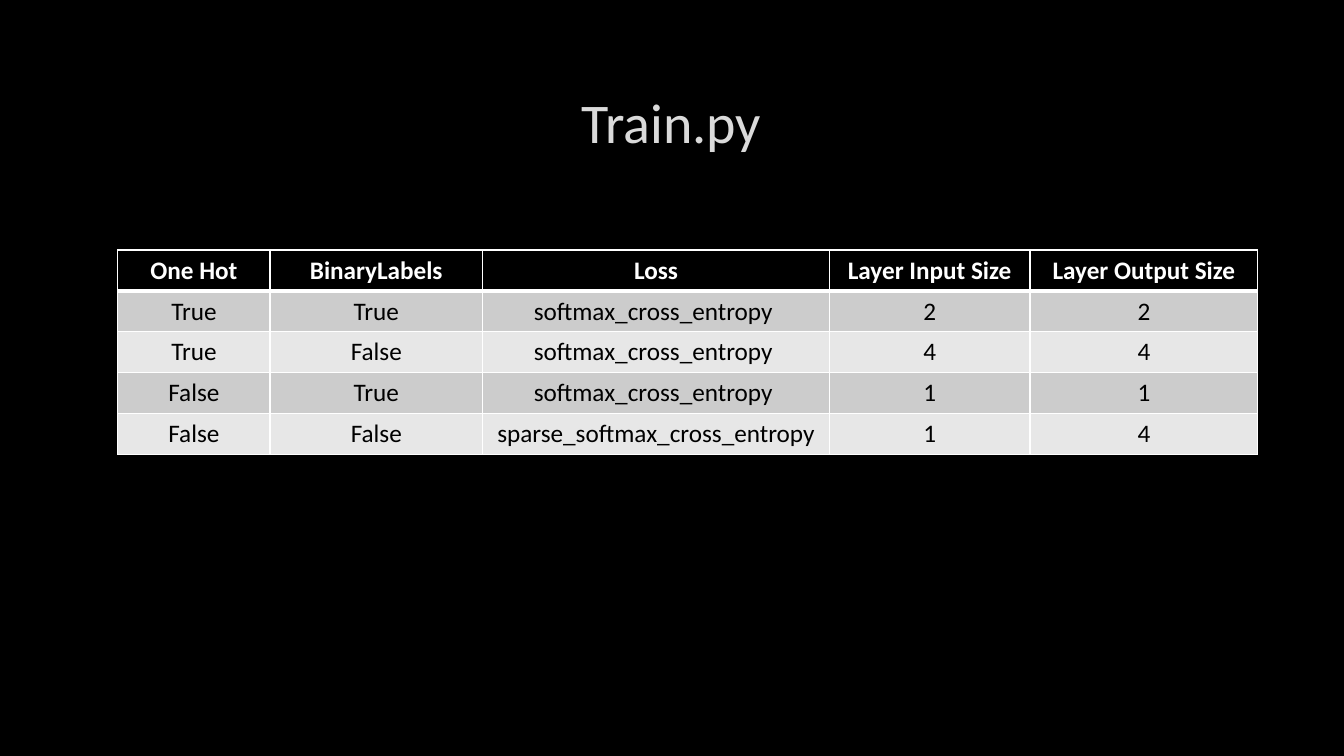
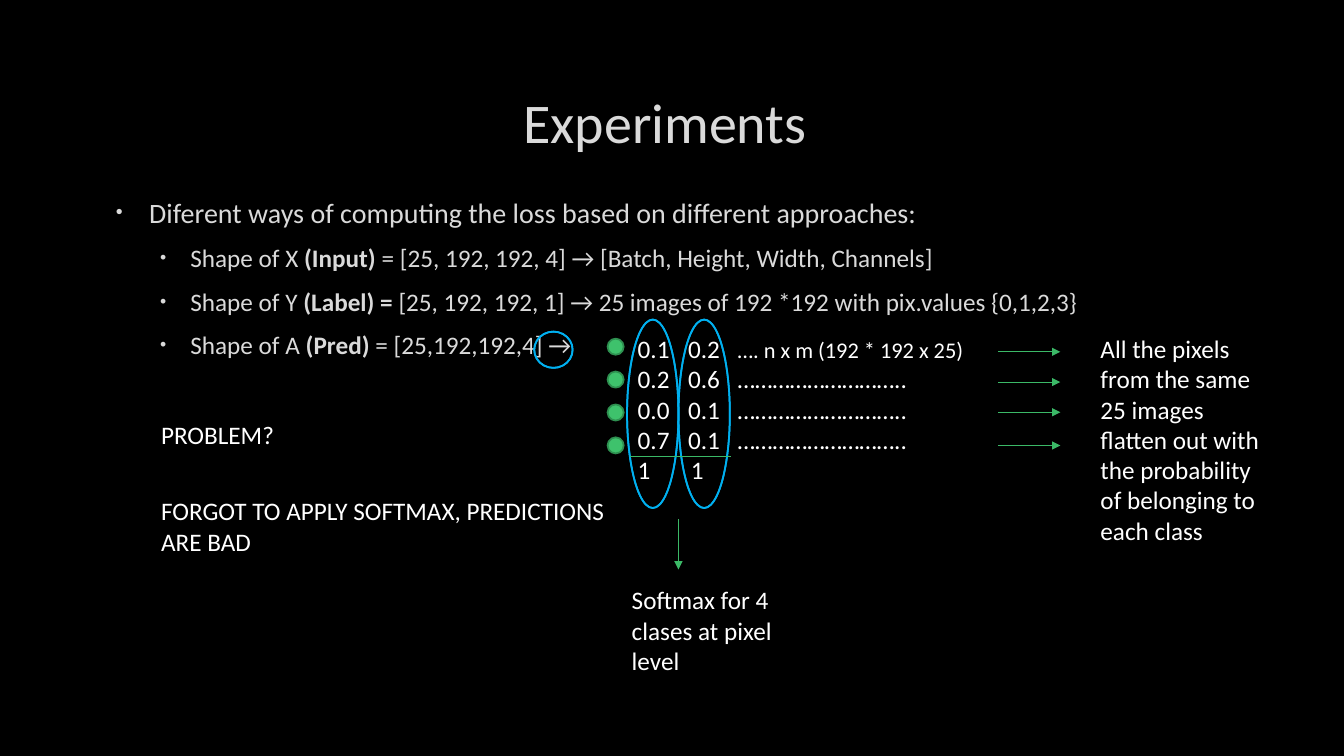
from dataclasses import dataclass
from typing import Optional

from lxml import etree
from pptx import Presentation
from pptx import util as u
from pptx.dml import color
from pptx.enum import shapes, text
from pptx.oxml import ns

COLORS = {
    "background": "000000",
    "title": "DADADA",
    "white": "FFFFFF",
    "black": "000000",
    "band_dark": "CCCCCC",
    "band_light": "E7E7E7",
    "green": "3EC26C",
    "green_edge": "2E9050",
    "green_line": "3BB967",
    "blue": "00B0F0",
}
FONT = "Calibri"


@dataclass(frozen=True)
class Box:
    left: float
    top: float
    width: float
    height: float

    def lengths(self) -> list:
        return [u.Pt(value) for value in (self.left, self.top, self.width, self.height)]


@dataclass(frozen=True)
class Piece:
    text: str
    size: float = 18
    bold: bool = False


@dataclass(frozen=True)
class Line:
    pieces: tuple
    stops: tuple = ()


@dataclass(frozen=True)
class Bullet:
    level: int
    pieces: tuple


@dataclass(frozen=True)
class BulletStyle:
    margin: float
    indent: float
    before: float


@dataclass(frozen=True)
class Stroke:
    start: tuple
    end: tuple
    arrow: bool = True


@dataclass(frozen=True)
class Note:
    box: Box
    text: str
    wrap: bool = True


TITLE_BOX = Box(72, 48.2, 815, 76.3)
BULLET_STYLES = (BulletStyle(27.4, -23.8, 4), BulletStyle(56.9, -21.6, 3.6))

TABLE_BOX = Box(84.2, 178.6, 814.3, 146)
COLUMN_WIDTHS = (108.7, 151.9, 247.7, 143.3, 162.7)
TABLE_ROWS = (
    ("One Hot", "BinaryLabels", "Loss", "Layer Input Size", "Layer Output Size"),
    ("True", "True", "softmax_cross_entropy ", "2", "2"),
    ("True", "False", "softmax_cross_entropy ", "4", "4"),
    ("False", "True", "softmax_cross_entropy ", "1", "1"),
    ("False", "False", "sparse_softmax_cross_entropy", "1", "4"),
)

BULLETS_BOX = Box(72, 136, 815, 319.7)
BULLETS = (
    Bullet(0, (Piece("Diferent ways of computing the loss based on different approaches:", 20),)),
    Bullet(1, (
        Piece("Shape of X "),
        Piece("(Input) ", bold=True),
        Piece("= [25, 192, 192, 4] → [Batch, Height, Width, Channels]"),
    )),
    Bullet(1, (
        Piece("Shape of Y "),
        Piece("(Label) = ", bold=True),
        Piece("[25, 192, 192, 1] → 25 images of 192 *192 with pix.values {0,1,2,3}"),
    )),
    Bullet(1, (
        Piece("Shape of A "),
        Piece("(Pred) ", bold=True),
        Piece("= [25,192,192,4] →"),
    )),
)

MATRIX_BOX = Box(448.4, 234.7, 379, 138.2)
MATRIX_STOPS = (36, 71.5)
DOTS = "……………………….."
MATRIX = (
    Line((Piece("0.1\t0.2\t"), Piece("…. n x m (192 * 192 x 25)", 16)), MATRIX_STOPS),
    *(
        Line((Piece(f"{first}\t{second}\t{DOTS}"),), MATRIX_STOPS)
        for first, second in (("0.2", "0.6"), ("0.0", "0.1"), ("0.7", "0.1"))
    ),
    Line((Piece("1\t1"),), (38,)),
)

CLASS_DOTS = [Box(434, 241.9 + 23.5 * row, 11.5, 11.5) for row in range(4)]
RINGS = (
    Box(484.6, 228.3, 36.7, 134.6),
    Box(447.9, 228.3, 36.7, 134.6),
    Box(381.6, 236.9, 27.4, 25.9),
)
STROKES = (
    Stroke((450, 326.2), (522, 326.2), arrow=False),
    Stroke((484.6, 370.8), (484.6, 406.8)),
    *(Stroke((712.8, y), (757.4, y)) for y in (251.3, 272.9, 294.5, 318.2)),
)
NOTES = (
    Note(Box(444.2, 414, 117.4, 72.7), "Softmax for 4 clases at pixel level"),
    Note(
        Box(779, 234.7, 138.2, 159.8),
        "All the pixels from the same 25 images flatten out with the probability "
        "of belonging to each class",
    ),
    Note(Box(108, 295.9, 131.8, 28.8), "PROBLEM?", wrap=False),
    Note(Box(108, 350.6, 342.7, 51.1), "FORGOT TO APPLY SOFTMAX, PREDICTIONS ARE BAD"),
)


def rgb(name: str) -> color.RGBColor:
    return color.RGBColor.from_string(COLORS[name])


def add_element(parent, tag: str, **attributes: str):
    element = etree.SubElement(parent, ns.qn(tag))
    for key, value in attributes.items():
        element.set(key, value)
    return element


def format_run(run, size: float, color_name: str, bold: bool = False) -> None:
    run.font.name = FONT
    run.font.size = u.Pt(size)
    run.font.bold = bold
    run.font.color.rgb = rgb(color_name)


def write_pieces(paragraph, pieces: tuple, color_name: str) -> None:
    for piece in pieces:
        run = paragraph.add_run()
        run.text = piece.text
        format_run(run, piece.size, color_name, piece.bold)


def add_frame(slide, box: Box, wrap: bool = True):
    frame = slide.shapes.add_textbox(*box.lengths()).text_frame
    frame.word_wrap = wrap
    return frame


def next_paragraph(frame, index: int):
    return frame.add_paragraph() if index else frame.paragraphs[0]


def add_titled_slide(presentation, title: str):
    slide = presentation.slides.add_slide(presentation.slide_layouts[6])
    frame = add_frame(slide, TITLE_BOX)
    frame.vertical_anchor = text.MSO_ANCHOR.MIDDLE
    frame.text = title
    paragraph = frame.paragraphs[0]
    paragraph.alignment = text.PP_ALIGN.CENTER
    format_run(paragraph.runs[0], 40, "title")
    return slide


def set_borders(cell, bottom: float) -> None:
    properties = cell._tc.get_or_add_tcPr()
    widths = {"a:lnL": 1, "a:lnR": 1, "a:lnT": 1, "a:lnB": bottom}
    for position, (tag, width) in enumerate(widths.items()):
        border = add_element(properties, tag, w=str(u.Pt(width)))
        fill = add_element(border, "a:solidFill")
        add_element(fill, "a:srgbClr", val=COLORS["white"])
        properties.insert(position, border)


def add_loss_table(slide) -> None:
    table = slide.shapes.add_table(
        len(TABLE_ROWS), len(COLUMN_WIDTHS), *TABLE_BOX.lengths()
    ).table
    for column, width in zip(table.columns, COLUMN_WIDTHS):
        column.width = u.Pt(width)
    for row_index, values in enumerate(TABLE_ROWS):
        header = row_index == 0
        band = "black" if header else ("band_light", "band_dark")[row_index % 2]
        for column_index, value in enumerate(values):
            cell = table.cell(row_index, column_index)
            cell.text_frame.text = value
            cell.vertical_anchor = text.MSO_ANCHOR.MIDDLE
            cell.fill.solid()
            cell.fill.fore_color.rgb = rgb(band)
            paragraph = cell.text_frame.paragraphs[0]
            paragraph.alignment = text.PP_ALIGN.CENTER
            format_run(paragraph.runs[0], 18, "white" if header else "black", header)
            set_borders(cell, 3 if header else 1)


def add_bullets(slide) -> None:
    frame = add_frame(slide, BULLETS_BOX)
    for index, bullet in enumerate(BULLETS):
        style = BULLET_STYLES[bullet.level]
        paragraph = next_paragraph(frame, index)
        paragraph.level = bullet.level
        paragraph.space_before = u.Pt(style.before)
        paragraph.space_after = u.Pt(6)
        properties = paragraph._p.get_or_add_pPr()
        properties.set("marL", str(u.Pt(style.margin)))
        properties.set("indent", str(u.Pt(style.indent)))
        bullet_color = add_element(properties, "a:buClr")
        add_element(bullet_color, "a:srgbClr", val=COLORS["title"])
        add_element(properties, "a:buSzPct", val="70000")
        add_element(properties, "a:buFont", typeface="Arial")
        add_element(properties, "a:buChar", char="•")
        write_pieces(paragraph, bullet.pieces, "title")


def add_matrix(slide) -> None:
    frame = add_frame(slide, MATRIX_BOX)
    for index, line in enumerate(MATRIX):
        paragraph = next_paragraph(frame, index)
        tabs = add_element(paragraph._p.get_or_add_pPr(), "a:tabLst")
        for stop in line.stops:
            add_element(tabs, "a:tab", pos=str(u.Pt(stop)), algn="l")
        write_pieces(paragraph, line.pieces, "white")


def add_round(slide, kind, box: Box, edge: str):
    shape = slide.shapes.add_shape(kind, *box.lengths())
    shape.shadow.inherit = False
    shape.fill.solid()
    shape.fill.fore_color.rgb = rgb("green")
    shape.line.color.rgb = rgb(edge)
    shape.line.width = u.Pt(1.25)
    return shape


def add_stroke(slide, stroke: Stroke) -> None:
    ends = [u.Pt(value) for value in (*stroke.start, *stroke.end)]
    connector = slide.shapes.add_connector(shapes.MSO_CONNECTOR.STRAIGHT, *ends)
    connector.line.color.rgb = rgb("green_line")
    connector.line.width = u.Pt(0.75)
    if stroke.arrow:
        add_element(connector.line._get_or_add_ln(), "a:tailEnd", type="triangle")
    add_element(connector._element.spPr, "a:effectLst")


def add_note(slide, note: Note) -> None:
    frame = add_frame(slide, note.box, note.wrap)
    frame.text = note.text
    format_run(frame.paragraphs[0].runs[0], 18, "white")


def main() -> None:
    presentation = Presentation()
    presentation.slide_width = u.Pt(960)
    presentation.slide_height = u.Pt(540)
    background = presentation.slide_master.background.fill
    background.solid()
    background.fore_color.rgb = rgb("background")

    add_loss_table(add_titled_slide(presentation, "Train.py"))

    slide = add_titled_slide(presentation, "Experiments ")
    add_bullets(slide)
    add_matrix(slide)
    for box in CLASS_DOTS:
        add_round(slide, shapes.MSO_SHAPE.OVAL, box, "green_edge")
    for box in RINGS:
        add_round(slide, shapes.MSO_SHAPE.DONUT, box, "blue").adjustments[0] = 0
    for stroke in STROKES:
        add_stroke(slide, stroke)
    for note in NOTES:
        add_note(slide, note)
    presentation.save("out.pptx")


if __name__ == "__main__":
    main()
